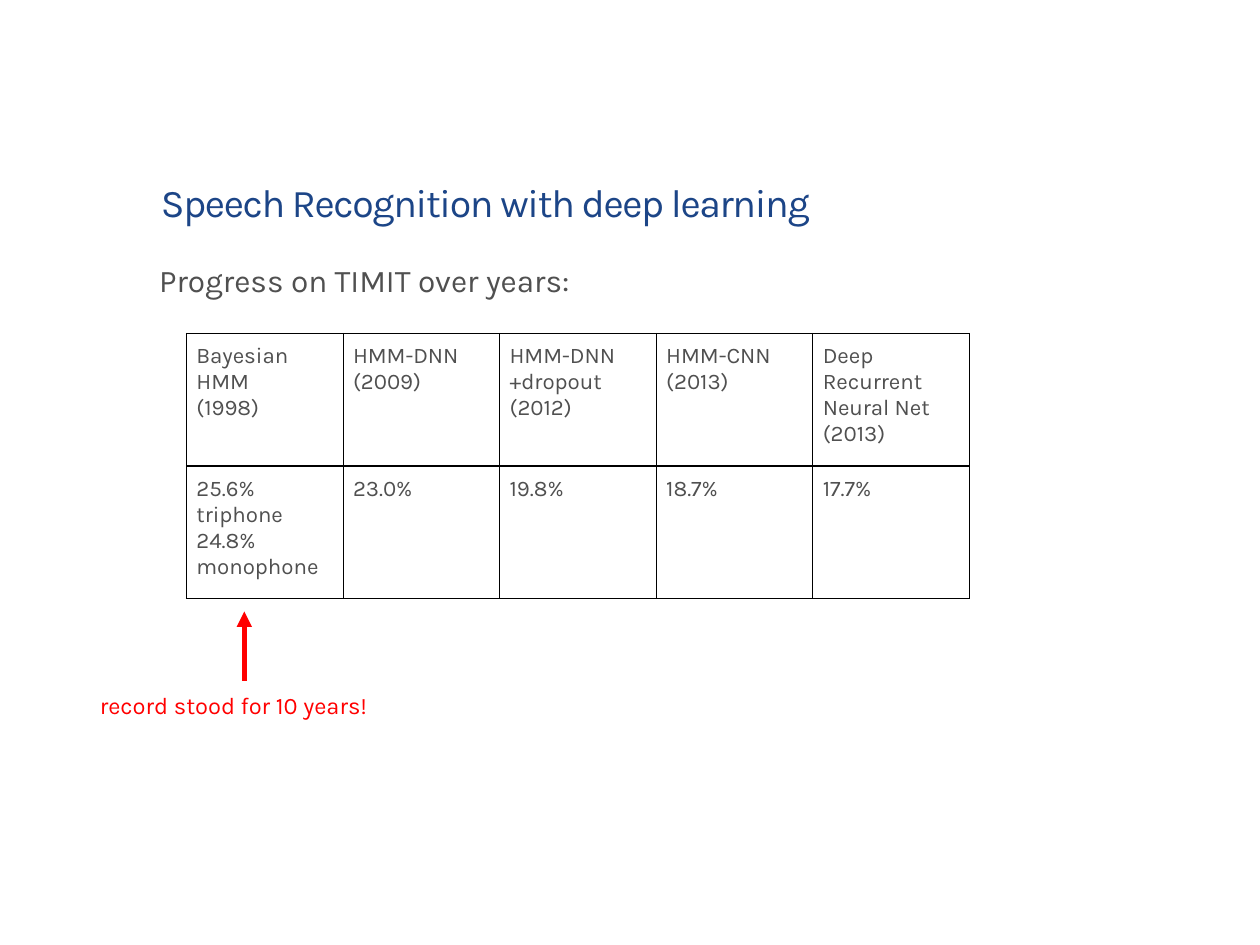
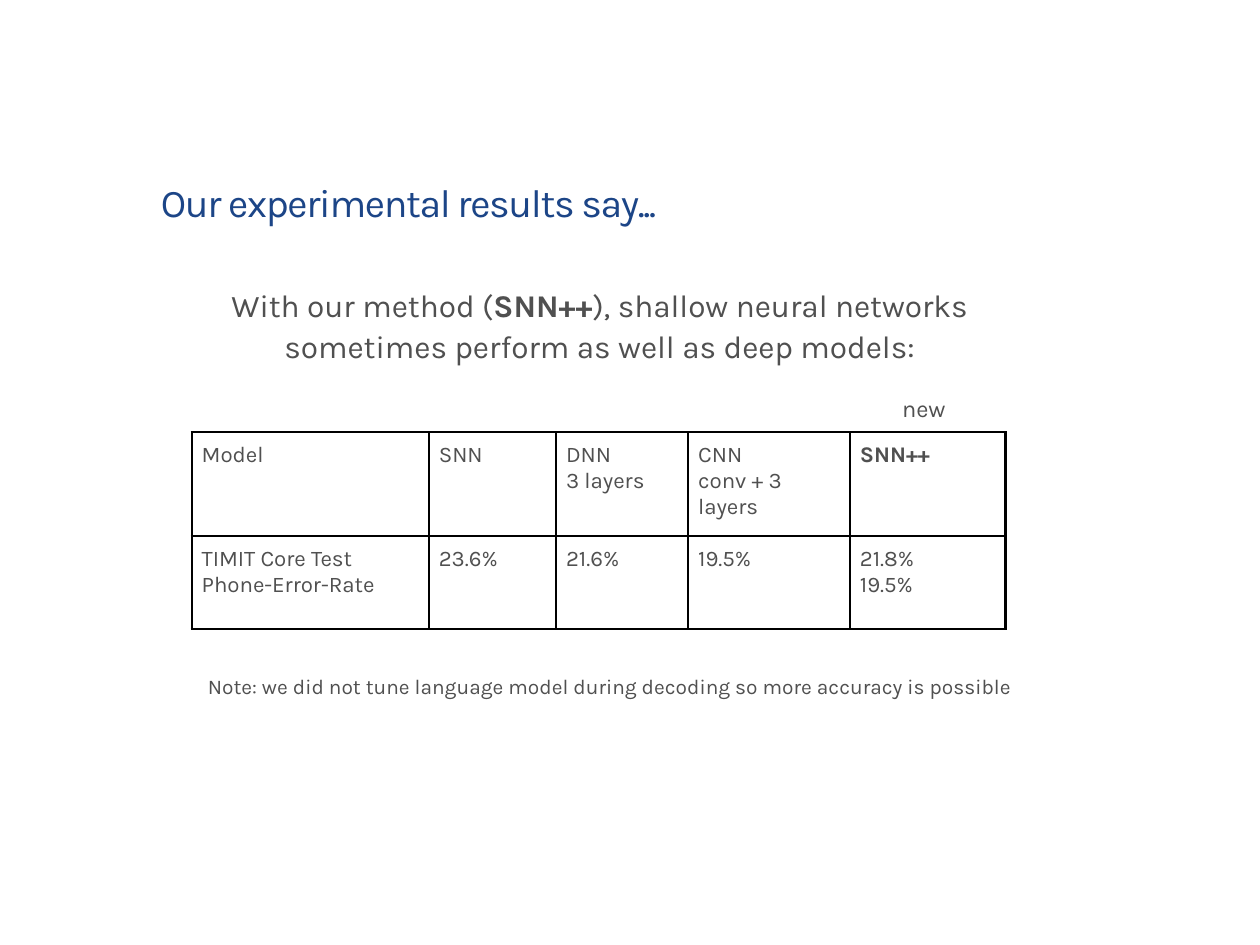
from lxml.etree import SubElement
from pptx import Presentation
from pptx.dml.color import RGBColor
from pptx.enum.shapes import MSO_CONNECTOR
from pptx.enum.text import MSO_ANCHOR, PP_ALIGN
from pptx.oxml import parse_xml
from pptx.oxml.ns import nsdecls, qn
from pptx.util import Pt

FONT = "Karla"
BLUE, GREY, RED, BLACK = "1C4587", "505050", "FF0000", "000000"
PAD = 5.8


def rgb(code):
    return RGBColor.from_string(code)


class Deck:
    def __init__(self, width, height):
        self.prs = Presentation()
        self.prs.slide_width, self.prs.slide_height = Pt(width), Pt(height)
        self.slide = None

    def page(self, title):
        self.slide = self.prs.slides.add_slide(self.prs.slide_layouts[6])
        frame = self.text(88, 68.4, 495, 69, [title], 22.9, BLUE, lead=0.9)
        frame.vertical_anchor = MSO_ANCHOR.BOTTOM
        for run in frame.paragraphs[0].runs:
            run.font._element.set("spc", "-80")

    def pad(self, item):
        item.margin_left = item.margin_right = Pt(PAD)
        item.margin_top = item.margin_bottom = Pt(PAD)

    def style(self, frame, lines, size, color):
        """Fill a frame, one paragraph a line; **marks** make bold."""
        frame.text = "\n".join(lines).replace("**", "")
        for para, line in zip(frame.paragraphs, lines):
            if "**" in line:
                para.clear()
                for i, part in enumerate(line.split("**")):
                    if part:
                        run = para.add_run()
                        run.text, run.font.bold = part, i % 2 == 1
            for run in para.runs:
                run.font.name, run.font.size = FONT, Pt(size)
                run.font.color.rgb = rgb(color)

    def text(self, x, y, w, h, lines, size, color=GREY, lead=1.0,
             align=PP_ALIGN.LEFT):
        box = self.slide.shapes.add_textbox(Pt(x), Pt(y), Pt(w), Pt(h))
        frame = box.text_frame
        frame.word_wrap = True
        self.pad(frame)
        self.style(frame, lines, size, color)
        for i, para in enumerate(frame.paragraphs):
            para.alignment, para.line_spacing = align, lead
            if i:
                para.space_before = Pt(size * 0.2)
        return frame

    def table(self, x, y, cols, rows, data, edge):
        shape = self.slide.shapes.add_table(
            len(rows), len(cols), Pt(x), Pt(y), Pt(sum(cols)), Pt(sum(rows)))
        grid = shape.table
        grid.first_row = grid.horz_banding = False
        for col, width in zip(grid.columns, cols):
            col.width = Pt(width)
        for row, high, texts in zip(grid.rows, rows, data):
            row.height = Pt(high)
            for cell, text in zip(row.cells, texts):
                self.style(cell.text_frame, text.split("\n"), 13, GREY)
                self.pad(cell)
                self.border(cell, edge)
                cell.fill.background()

    def border(self, cell, edge):
        props = cell._tc.get_or_add_tcPr()
        for side in "LRTB":
            props.append(parse_xml(
                f'<a:ln{side} {nsdecls("a")} w="{Pt(edge)}"><a:solidFill>'
                f'<a:srgbClr val="{BLACK}"/></a:solidFill></a:ln{side}>'))

    def arrow(self, x1, y1, x2, y2, color, width):
        link = self.slide.shapes.add_connector(
            MSO_CONNECTOR.STRAIGHT, Pt(x1), Pt(y1), Pt(x2), Pt(y2))
        link.line.color.rgb, link.line.width = rgb(color), Pt(width)
        SubElement(link.line._get_or_add_ln(), qn("a:tailEnd"), type="triangle")
        SubElement(link._element.spPr, qn("a:effectLst"))


def main():
    deck = Deck(734.4, 550.8)

    # Progress over the years
    deck.page("Speech Recognition with deep learning")
    deck.text(87, 149, 515, 40, ["Progress on TIMIT over years:"], 18.4, lead=0.9)
    deck.table(108.7, 194.4, [91.3] * 5, [77.2] * 2, [
        ["Bayesian HMM\n(1998)", "HMM-DNN\n(2009)", "HMM-DNN\n+dropout (2012)",
         "HMM-CNN\n(2013)", "Deep Recurrent Neural Net\n(2013)"],
        ["25.6% triphone\n24.8% monophone", "23.0%", "19.8%", "18.7%", "17.7%"],
    ], 0.75)
    deck.text(52.4, 396.7, 172, 27, ["record stood for 10 years!"], 13.8, RED)
    deck.arrow(142.4, 396.7, 142.4, 356.4, RED, 3)

    # Results of the new method
    deck.page("Our experimental results say...")
    deck.text(102, 163.5, 495, 65, [
        "With our method (**SNN++**), shallow neural networks",
        "sometimes perform as well as deep models:",
    ], 18.4, lead=0.9, align=PP_ALIGN.CENTER)
    deck.table(111.8, 252, [138.2, 74.2, 77, 94.3, 90.7], [60.5, 54.2], [
        ["Model", "SNN", "DNN\n3 layers", "CNN\nconv + 3 layers", "**SNN++**"],
        ["TIMIT Core Test\nPhone-Error-Rate", "23.6%", "21.6%", "19.5%",
         "21.8%\n19.5%"],
    ], 1.5)
    deck.text(520, 224, 42, 27, ["new"], 13.8)
    deck.text(115.3, 387, 490, 26, [
        "Note: we did not tune language model during decoding "
        "so more accuracy is possible"], 12.2)

    deck.prs.save("out.pptx")


if __name__ == "__main__":
    main()
